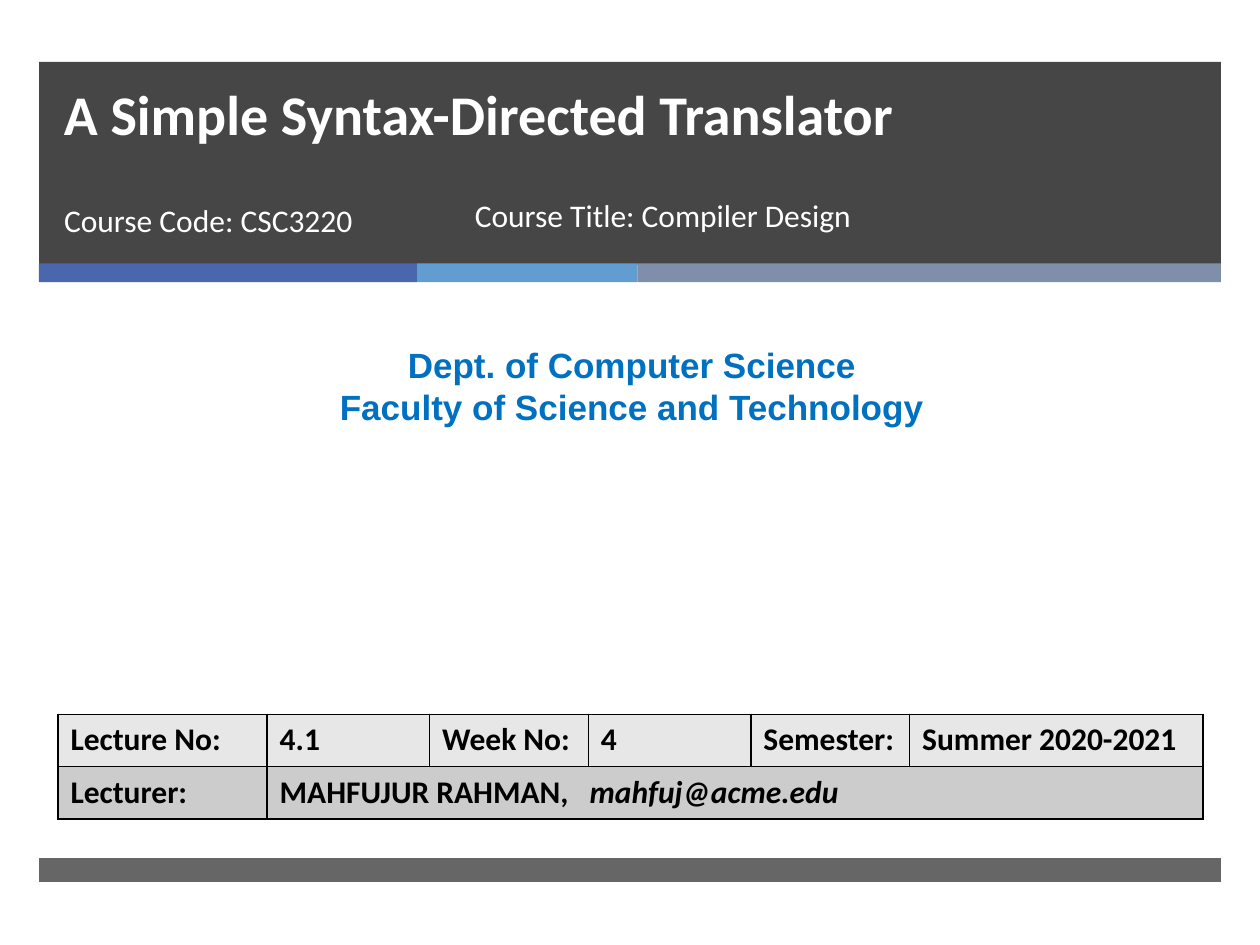
from dataclasses import dataclass

from lxml.etree import SubElement
from pptx import Presentation
from pptx.dml.color import RGBColor
from pptx.enum.shapes import MSO_SHAPE
from pptx.enum.text import MSO_ANCHOR, PP_ALIGN
from pptx.oxml.ns import qn
from pptx.util import Inches, Pt

WHITE = RGBColor(0xFF, 0xFF, 0xFF)
BLACK = RGBColor(0x00, 0x00, 0x00)
CHARCOAL = RGBColor(0x26, 0x26, 0x26)
INDIGO = RGBColor(0x4A, 0x66, 0xAC)
SKY = RGBColor(0x62, 0x9D, 0xD1)
SLATE = RGBColor(0x7F, 0x8F, 0xA9)
DEPARTMENT_BLUE = RGBColor(0x00, 0x70, 0xC0)
LIGHT_ROW = RGBColor(0xE7, 0xE7, 0xE7)
DARK_ROW = RGBColor(0xCC, 0xCC, 0xCC)

LEFT = 0.31
FULL_WIDTH = 9.38
TABLE_FONT = {"name": "Calibri", "size": Pt(18), "bold": True}
COURSE_FONT = {"name": "Calibri", "size": Pt(18)}


@dataclass
class Band:
    left: float
    top: float
    width: float
    height: float
    color: RGBColor
    opacity: int = 100


@dataclass
class Label:
    left: float
    top: float
    width: float
    height: float
    lines: list[str]
    color: RGBColor
    font: dict
    paragraph_format: dict
    anchor: MSO_ANCHOR = MSO_ANCHOR.TOP


BANDS = [
    Band(LEFT, 0.49, FULL_WIDTH, 1.61, CHARCOAL, 85),
    Band(LEFT, 2.09, 3, 0.15, INDIGO),
    Band(3.31, 2.09, 1.75, 0.15, SKY),
    Band(5.06, 2.09, 4.63, 0.15, SLATE),
    Band(LEFT, 6.81, FULL_WIDTH, 0.19, CHARCOAL, 70),
]

LABELS = [
    Label(0.08, 2.68, 9.87, 0.77,
          ["Dept. of Computer Science", "Faculty of Science and Technology"],
          DEPARTMENT_BLUE, {"name": "Arial", "size": Pt(20), "bold": True},
          {"alignment": PP_ALIGN.CENTER}),
    Label(0.41, 1.55, 3.05, 0.53, ["Course Code: CSC3220"], WHITE, COURSE_FONT, {}),
    Label(3.67, 1.51, 4.55, 0.53, ["Course Title: Compiler Design"], WHITE, COURSE_FONT, {}),
    Label(0.41, 0.02, 8.54, 1.19, ["A Simple Syntax-Directed Translator"],
          WHITE, {"name": "Calibri", "size": Pt(32), "bold": True},
          {"line_spacing": Pt(46)}, MSO_ANCHOR.BOTTOM),
]

COLUMN_WIDTHS = [1.66, 1.29, 1.26, 1.29, 1.26, 2.33]
TABLE_HEIGHT = 0.83
LECTURE_ROW = ["Lecture No:", "4.1", "Week No:", "4", "Semester:", "Summer 2020-2021"]
LECTURER_ROW = ["Lecturer:", "MAHFUJUR RAHMAN,"]
LECTURER_EMAIL = "mahfuj@acme.edu"
EMAIL_TAB = 2.46


def set_values(target, values: dict) -> None:
    for name, value in values.items():
        setattr(target, name, value)


def add_run(paragraph, text: str, color: RGBColor, font: dict) -> None:
    run = paragraph.add_run()
    run.text = text
    set_values(run.font, font)
    run.font.color.rgb = color


def add_band(slide, band: Band) -> None:
    shape = slide.shapes.add_shape(
        MSO_SHAPE.RECTANGLE, Inches(band.left), Inches(band.top),
        Inches(band.width), Inches(band.height))
    shape.shadow.inherit = False
    shape.line.fill.background()
    shape.fill.solid()
    shape.fill.fore_color.rgb = band.color
    if band.opacity < 100:
        color = shape._element.spPr.find(qn("a:solidFill"))[0]
        SubElement(color, qn("a:alpha"), val=str(band.opacity * 1000))


def add_label(slide, label: Label) -> None:
    box = slide.shapes.add_textbox(
        Inches(label.left), Inches(label.top), Inches(label.width), Inches(label.height))
    frame = box.text_frame
    frame.word_wrap = True
    frame.vertical_anchor = label.anchor
    for index, line in enumerate(label.lines):
        paragraph = frame.add_paragraph() if index else frame.paragraphs[0]
        set_values(paragraph, label.paragraph_format)
        add_run(paragraph, line, label.color, label.font)


def style_cell(cell, color: RGBColor) -> None:
    """Draw thin black borders, then fill the cell; the schema needs this order."""
    properties = cell._tc.get_or_add_tcPr()
    for side in ("a:lnL", "a:lnR", "a:lnT", "a:lnB"):
        line = SubElement(properties, qn(side), w=str(Pt(1)))
        SubElement(SubElement(line, qn("a:solidFill")), qn("a:srgbClr"), val=str(BLACK))
    cell.fill.solid()
    cell.fill.fore_color.rgb = color


def add_lecture_table(slide) -> None:
    table = slide.shapes.add_table(
        2, len(COLUMN_WIDTHS), Inches(0.46), Inches(5.67),
        Inches(sum(COLUMN_WIDTHS)), Inches(TABLE_HEIGHT)).table
    for column, width in zip(table.columns, COLUMN_WIDTHS):
        column.width = Inches(width)
    table.cell(1, 1).merge(table.cell(1, len(COLUMN_WIDTHS) - 1))
    rows = [(LECTURE_ROW, LIGHT_ROW), (LECTURER_ROW, DARK_ROW)]
    for row, (texts, color) in zip(table.rows, rows):
        for cell in row.cells:
            style_cell(cell, color)
        for cell, text in zip(row.cells, texts):
            add_run(cell.text_frame.paragraphs[0], text, BLACK, TABLE_FONT)

    paragraph = table.cell(1, 1).text_frame.paragraphs[0]
    tabs = SubElement(paragraph._p.get_or_add_pPr(), qn("a:tabLst"))
    SubElement(tabs, qn("a:tab"), pos=str(Inches(EMAIL_TAB)), algn="l")
    add_run(paragraph, "\t" + LECTURER_EMAIL, BLACK, TABLE_FONT | {"italic": True})


def main() -> None:
    presentation = Presentation()
    presentation.slide_width = Inches(10)
    presentation.slide_height = Inches(7.5)
    slide = presentation.slides.add_slide(presentation.slide_layouts[6])
    for band in BANDS:
        add_band(slide, band)
    for label in LABELS:
        add_label(slide, label)
    add_lecture_table(slide)
    presentation.save("out.pptx")


if __name__ == "__main__":
    main()
